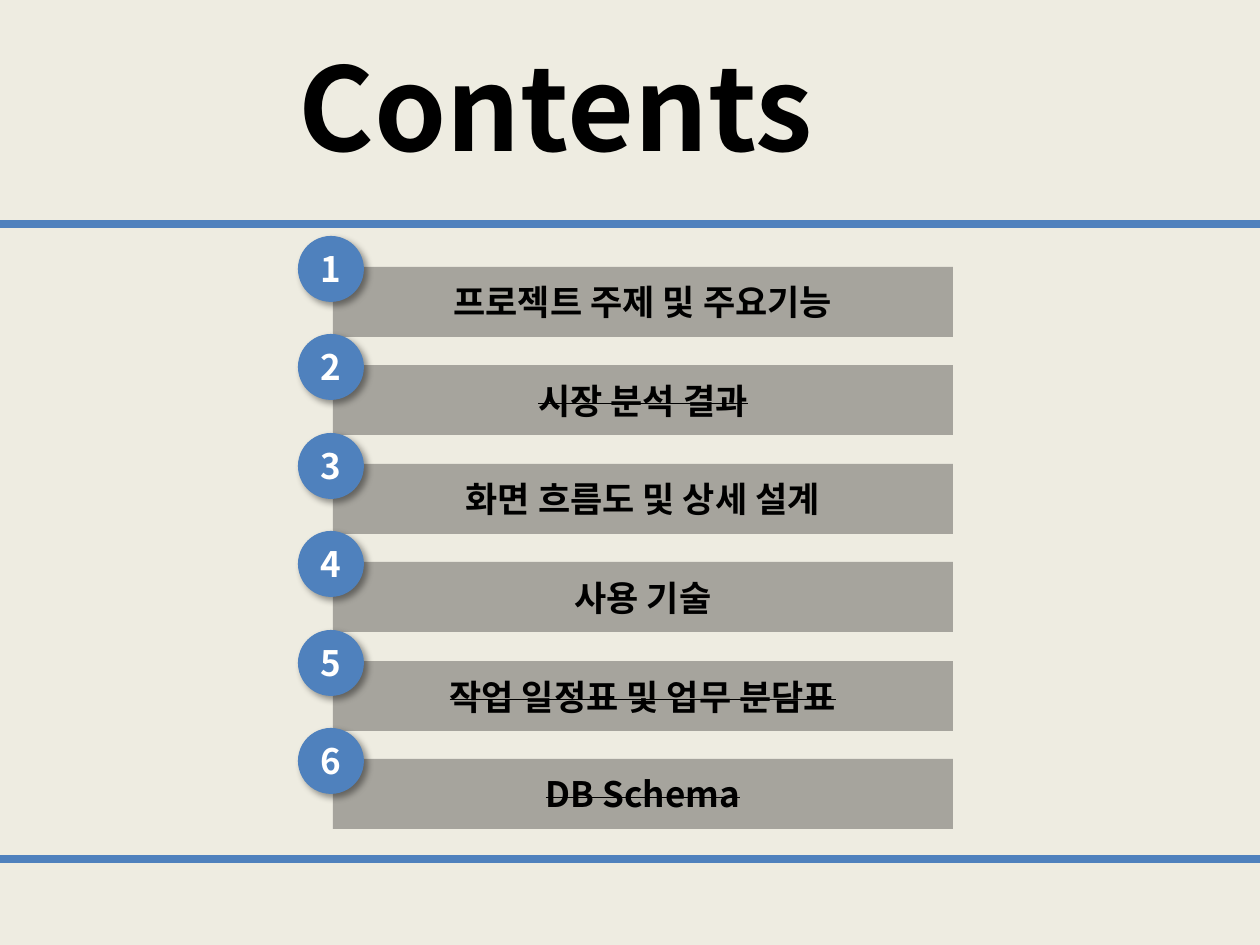
"""Build the Contents slide with six numbered agenda bars."""
from lxml.etree import SubElement
from pptx import Presentation
from pptx.dml.color import RGBColor
from pptx.enum.shapes import MSO_CONNECTOR, MSO_SHAPE
from pptx.enum.text import MSO_ANCHOR, MSO_AUTO_SIZE, PP_ALIGN
from pptx.oxml.ns import qn
from pptx.util import Pt

PIXEL = 914400 // 126
FONT = "Noto Sans CJK KR"
COLORS = {
    "background": "EEECE1",
    "accent": "4F81BD",
    "ink": "000000",
    "number": "FFFFFF",
}
AGENDA = [
    ("프로젝트 주제 및 주요기능", False),
    ("시장 분석 결과", True),
    ("화면 흐름도 및 상세 설계", False),
    ("사용 기술", False),
    ("작업 일정표 및 업무 분담표", True),
    ("DB Schema", True),
]
FIRST_BAR_TOP = 267
BAR_PITCH = 98.4


def px(*lengths):
    return [round(length * PIXEL) for length in lengths]


def color(key):
    return RGBColor.from_string(COLORS[key])


def write(holder, words, size, ink, align, struck=False):
    paragraph = holder.text_frame.paragraphs[0]
    paragraph.alignment = align
    paragraph.font.name = FONT
    paragraph.font.size = Pt(size)
    paragraph.font.bold = True
    paragraph.font.color.rgb = color(ink)
    run = paragraph.add_run()
    run.text = words
    properties = run._r.get_or_add_rPr()
    SubElement(properties, qn("a:ea"), typeface=FONT)
    if struck:
        properties.set("strike", "sngStrike")
    return paragraph


def add_title(slide, words):
    title = slide.shapes.title
    title.left, title.top, title.width, title.height = px(286, 47, 678, 151)
    frame = title.text_frame
    frame.word_wrap = True
    frame.auto_size = MSO_AUTO_SIZE.NONE
    frame.vertical_anchor = MSO_ANCHOR.TOP
    write(title, words, 66, "ink", PP_ALIGN.LEFT).line_spacing = 0.89


def add_rule(slide, left, y):
    rule = slide.shapes.add_connector(MSO_CONNECTOR.STRAIGHT, *px(left, y, 1260, y))
    rule.line.color.rgb = color("accent")
    rule.line.width = Pt(4.5)
    SubElement(rule._element.spPr, qn("a:effectLst"))


def add_block(slide, preset, box, fill, words, ink, struck=False):
    block = slide.shapes.add_shape(preset, *px(*box))
    block.shadow.inherit = False
    block.fill.solid()
    block.fill.fore_color.rgb = color(fill)
    block.line.fill.background()
    block.text_frame.vertical_anchor = MSO_ANCHOR.MIDDLE
    write(block, words, 20, ink, PP_ALIGN.CENTER, struck)
    return block


def set_alpha(parent, percent):
    rgb = next(parent.iter(qn("a:srgbClr")))
    SubElement(rgb, qn("a:alpha"), val=str(percent * 1000))


def cast_shadow(block):
    effects = block._element.spPr.find(qn("a:effectLst"))
    shadow = SubElement(
        effects, qn("a:outerShdw"), blurRad=str(Pt(4)), dist=str(Pt(3)),
        dir=str(45 * 60000), algn="tl", rotWithShape="0",
    )
    SubElement(shadow, qn("a:srgbClr"), val=COLORS["ink"])
    set_alpha(shadow, 40)


def add_agenda_item(slide, index, topic, struck):
    top = round(FIRST_BAR_TOP + index * BAR_PITCH)
    bar = add_block(
        slide, MSO_SHAPE.RECTANGLE, (333, top, 620, 70), "ink", topic, "ink", struck
    )
    set_alpha(bar._element.spPr.find(qn("a:solidFill")), 30)
    badge = add_block(
        slide, MSO_SHAPE.OVAL, (298, top - 31, 66, 66), "accent", str(index + 1), "number"
    )
    cast_shadow(badge)


def main():
    deck = Presentation()
    deck.slide_width, deck.slide_height = px(1260, 945)
    slide = deck.slides.add_slide(deck.slide_layouts[5])
    slide.background.fill.solid()
    slide.background.fill.fore_color.rgb = color("background")
    add_rule(slide, 0, 859)
    add_rule(slide, -2, 224)
    add_title(slide, "Contents")
    for index, (topic, struck) in enumerate(AGENDA):
        add_agenda_item(slide, index, topic, struck)
    deck.save("out.pptx")


main()
